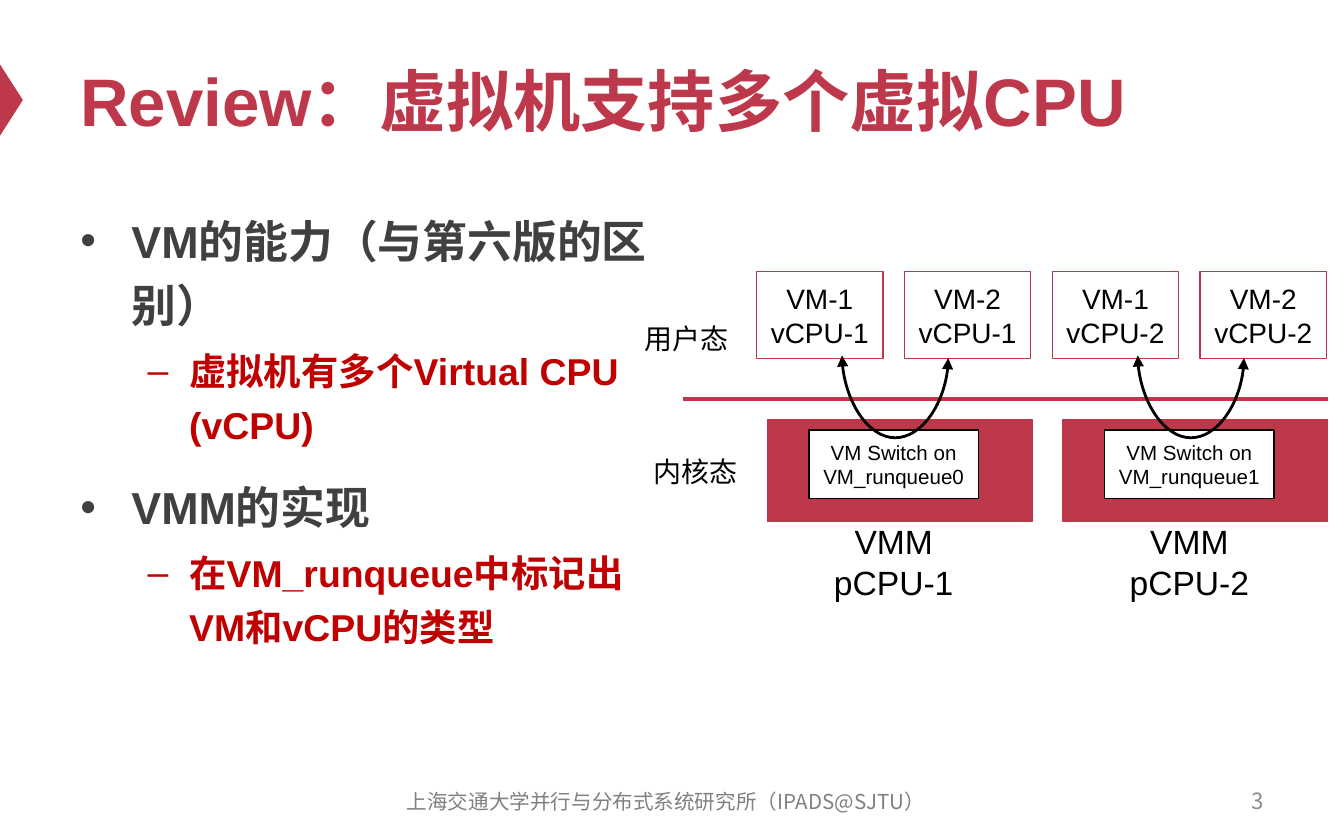
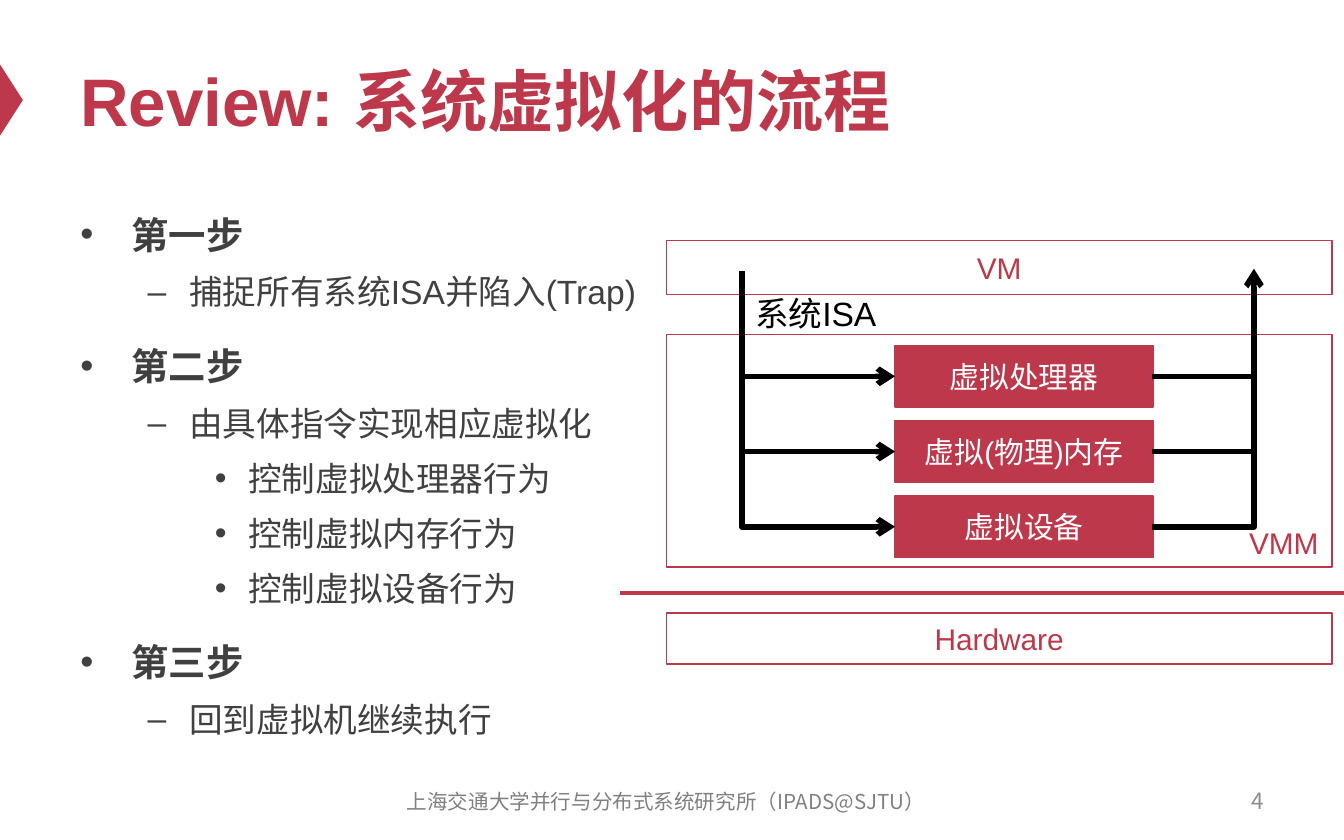
"""Build two review slides on virtual CPUs and the system virtualization flow."""
from lxml import etree
from pptx import Presentation
from pptx.dml.color import RGBColor
from pptx.enum import shapes, text
from pptx.oxml import ns
from pptx.util import Inches, Pt

RED = RGBColor(0xBE, 0x38, 0x4B)
DEEP_RED = RGBColor(0xC0, 0x00, 0x00)
CHARCOAL = RGBColor(0x40, 0x40, 0x40)
FOOTER_GREY = RGBColor(0x80, 0x80, 0x80)
NUMBER_GREY = RGBColor(0x8C, 0x8C, 0x8C)
BLACK = RGBColor(0, 0, 0)
WHITE = RGBColor(0xFF, 0xFF, 0xFF)

LATIN, HAN = "Arial", "Noto Sans CJK SC"
FOOTER = "上海交通大学并行与分布式系统研究所（IPADS@SJTU）"
LEFT, CENTER, RIGHT = text.PP_ALIGN.LEFT, text.PP_ALIGN.CENTER, text.PP_ALIGN.RIGHT
TOP, MIDDLE, BOTTOM = text.MSO_ANCHOR.TOP, text.MSO_ANCHOR.MIDDLE, text.MSO_ANCHOR.BOTTOM
STRAIGHT, ELBOW, CURVE = (shapes.MSO_CONNECTOR.STRAIGHT, shapes.MSO_CONNECTOR.ELBOW,
                          shapes.MSO_CONNECTOR.CURVE)
BULLETS = [("•", 0.38, 0.38), ("–", 0.81, 0.31), ("•", 1.25, 0.25)]


def put(slide, at, words, size, color=BLACK, fill=None, line=RED, align=CENTER,
        anchor=MIDDLE, font=LATIN, bold=False, wrap=True, inset=0.1):
    """Add a filled rectangle, or a plain text box when no fill is given."""
    spot = [Inches(v) for v in at]
    if fill is None:
        box = slide.shapes.add_textbox(*spot)
    else:
        box = slide.shapes.add_shape(shapes.MSO_SHAPE.RECTANGLE, *spot)
        box.shadow.inherit = False
        box.fill.solid()
        box.fill.fore_color.rgb = fill
        box.line.color.rgb = line
        box.line.width = Pt(0.75)
    frame = box.text_frame
    frame.text = words
    frame.word_wrap = wrap
    frame.vertical_anchor = anchor
    frame.margin_left = frame.margin_right = Inches(inset)
    for paragraph in frame.paragraphs:
        paragraph.alignment = align
        for run in paragraph.runs:
            run.font.name = font
            run.font.size = Pt(size)
            run.font.bold = bold
            run.font.color.rgb = color
            east = etree.SubElement(run.font._element, ns.qn("a:ea"))
            east.set("typeface", font)
    return box


def connect(slide, kind, ends, color, width, head=None, tail=None):
    """Add a connector with optional arrowheads at its start and end."""
    link = slide.shapes.add_connector(kind, *[Inches(v) for v in ends])
    link.line.color.rgb = color
    link.line.width = Pt(width)
    outline = link.line._get_or_add_ln()
    for tag, arrow in (("a:headEnd", head), ("a:tailEnd", tail)):
        if arrow:
            etree.SubElement(outline, ns.qn(tag)).set("type", arrow)
    etree.SubElement(link._element.spPr, ns.qn("a:effectLst"))
    if kind == ELBOW:
        link._element.spPr.find(ns.qn("a:prstGeom")).set("prst", "bentConnector2")
    return link


deck = Presentation()
deck.slide_width, deck.slide_height = Inches(10), Inches(6.25)

pages = [
    (3, "Review：虚拟机支持多个虚拟CPU", 4.5, (24, 20), DEEP_RED, True, [
        (0, "VM的能力（与第六版的区别）"),
        (1, "虚拟机有多个Virtual CPU (vCPU)"),
        (0, "VMM的实现"),
        (1, "在VM_runqueue中标记出VM和vCPU的类型")]),
    (4, "Review: 系统虚拟化的流程", 9, (20, 18, 18), CHARCOAL, False, [
        (0, "第一步"),
        (1, "捕捉所有系统ISA并陷入(Trap)"),
        (0, "第二步"),
        (1, "由具体指令实现相应虚拟化"),
        (2, "控制虚拟处理器行为"),
        (2, "控制虚拟内存行为"),
        (2, "控制虚拟设备行为"),
        (0, "第三步"),
        (1, "回到虚拟机继续执行")]),
]

for number, title, body_width, sizes, detail_color, detail_bold, points in pages:
    slide = deck.slides.add_slide(deck.slide_layouts[6])
    marker = slide.shapes.add_shape(shapes.MSO_SHAPE.ISOSCELES_TRIANGLE, Inches(-0.18),
                                    Inches(0.66), Inches(0.53), Inches(0.17))
    marker.rotation = 90
    marker.shadow.inherit = False
    marker.fill.solid()
    marker.fill.fore_color.rgb = RED
    marker.line.fill.background()
    put(slide, (0.5, 0.25, 9, 0.98), title, 36, RED, align=LEFT, bold=True)
    body = put(slide, (0.5, 1.46, body_width, 4.11), "\n".join(p[1] for p in points),
               sizes[0], CHARCOAL, align=LEFT, anchor=TOP, bold=True)
    for index, (level, _) in enumerate(points):
        paragraph = body.text_frame.paragraphs[index]
        mark, margin, hang = BULLETS[level]
        paragraph.level = level
        props = paragraph._p.get_or_add_pPr()
        props.set("marL", str(Inches(margin)))
        props.set("indent", str(-Inches(hang)))
        etree.SubElement(props, ns.qn("a:buFont")).set("typeface", LATIN)
        etree.SubElement(props, ns.qn("a:buChar")).set("char", mark)
        paragraph.line_spacing = 1.2
        if index:
            paragraph.space_before = Pt(sizes[level] * 0.2 if level else 12)
        font = paragraph.runs[0].font
        font.size = Pt(sizes[level])
        if level:
            font.color.rgb = detail_color
            font.bold = detail_bold
    put(slide, (7.17, 5.79, 2.33, 0.33), str(number), 12, NUMBER_GREY, align=RIGHT, font=HAN)
    put(slide, (2.79, 5.8, 4.33, 0.33), FOOTER, 11, FOOTER_GREY, font=HAN)

vcpu_slide, flow_slide = deck.slides

connect(vcpu_slide, STRAIGHT, (5.08, 2.97, 9.88, 2.97), RED, 2)
put(vcpu_slide, (4.69, 2.34, 0.83, 0.35), "用户态", 15, anchor=TOP, wrap=False)
put(vcpu_slide, (4.76, 3.33, 0.83, 0.35), "内核态", 15, anchor=TOP, wrap=False)
for cpu in range(2):
    shift = 2.2 * cpu
    put(vcpu_slide, (5.71 + shift, 3.12, 1.97, 0.76), "", 15, fill=RED)
    put(vcpu_slide, (6.1 + shift, 3.83, 1.1, 0.71), f"VMM\npCPU-{cpu + 1}", 18,
        anchor=TOP, wrap=False)
    put(vcpu_slide, (6.02 + shift, 3.2, 1.26, 0.51), f"VM Switch on\nVM_runqueue{cpu}", 11,
        fill=WHITE, line=BLACK, inset=0.05)
    for vm in range(2):
        put(vcpu_slide, (5.63 + shift + 1.1 * vm, 2.02, 0.94, 0.65),
            f"VM-{vm + 1}\nvCPU-{cpu + 1}", 15, fill=WHITE, inset=0.05)
    switch = connect(vcpu_slide, CURVE, (6.67 + shift, 2.26, 6.65 + shift, 3.05), BLACK, 1.5,
                     head="triangle", tail="triangle")
    switch._element.spPr.find(ns.qn("a:xfrm")).set("rot", "16200000")
    bend = etree.SubElement(switch._element.spPr.find(ns.qn("a:prstGeom")).find(ns.qn("a:avLst")),
                            ns.qn("a:gd"))
    bend.set("name", "adj1")
    bend.set("fmla", "val 3050000")

put(flow_slide, (4.96, 2.49, 4.95, 1.73), "VMM", 16, RED, WHITE, align=RIGHT, anchor=BOTTOM)
put(flow_slide, (4.96, 4.56, 4.95, 0.38), "Hardware", 16, RED, WHITE)
put(flow_slide, (4.96, 1.79, 4.95, 0.4), "VM", 16, RED, WHITE)
connect(flow_slide, STRAIGHT, (4.61, 4.41, 10.09, 4.41), RED, 2)
put(flow_slide, (5.52, 2.13, 1.14, 0.39), "系统ISA", 18, align=LEFT, anchor=TOP)
for row, resource in enumerate(["虚拟处理器", "虚拟(物理)内存", "虚拟设备"]):
    top = 2.57 + 0.56 * row
    middle = top + 0.23
    put(flow_slide, (6.66, top, 1.92, 0.46), resource, 16, WHITE, RED)
    if row < 2:
        connect(flow_slide, STRAIGHT, (5.52, middle, 6.66, middle), BLACK, 3, tail="arrow")
        connect(flow_slide, STRAIGHT, (8.57, middle, 9.33, middle), BLACK, 3)
connect(flow_slide, ELBOW, (6.66, 3.92, 5.52, 2.02), BLACK, 3, head="arrow")
connect(flow_slide, ELBOW, (8.57, 3.92, 9.33, 2), BLACK, 3, tail="arrow")

deck.save("out.pptx")
